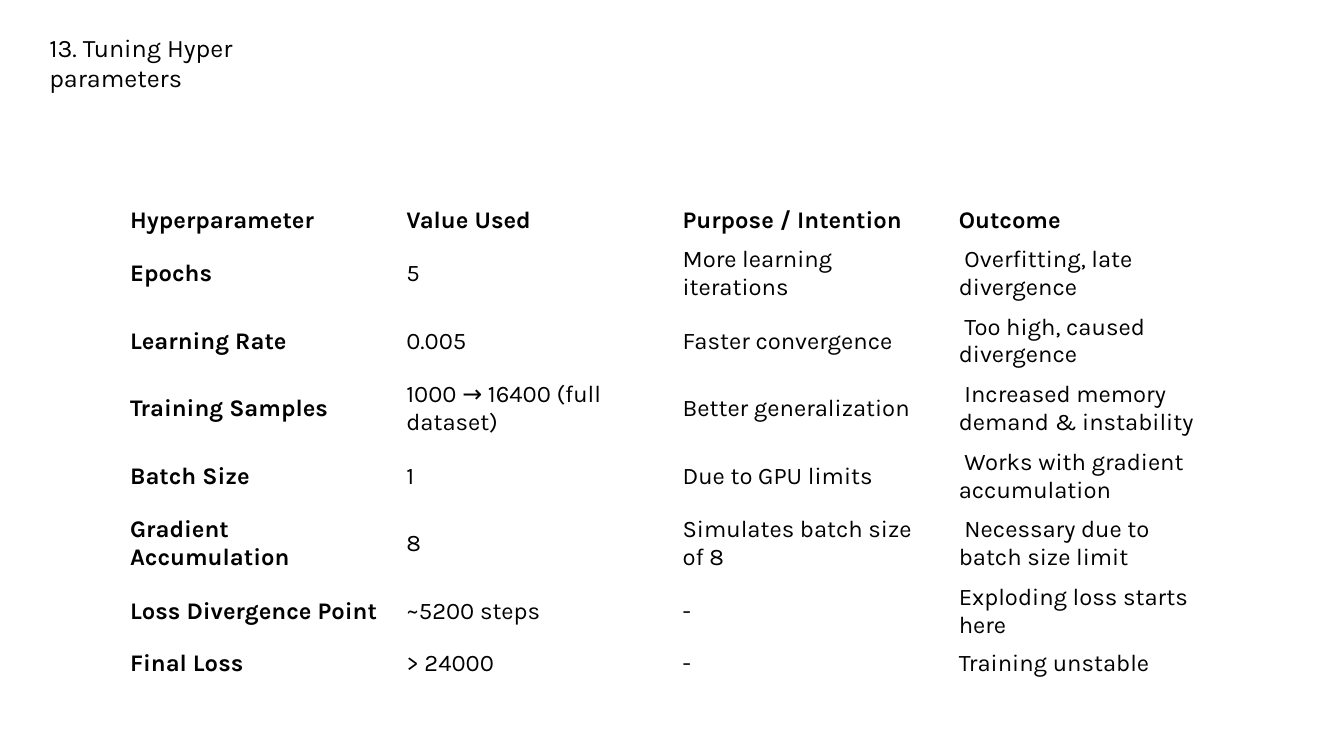
"""Build the slide on tuning hyperparameters."""
from pptx import Presentation
from pptx.dml.color import RGBColor
from pptx.enum.text import MSO_ANCHOR
from pptx.util import Pt

PX = 9144
BLACK = RGBColor(0x00, 0x00, 0x00)
MIDDLE = MSO_ANCHOR.MIDDLE
FONT = "Karla"
COL_WIDTH = 274
ROW_HEIGHTS = [38, 67, 67, 67, 67, 67, 67, 38]
ROWS = [
    ("Hyperparameter", "Value Used", "Purpose / Intention", "Outcome"),
    ("Epochs", "5", "More learning iterations", " Overfitting, late divergence"),
    ("Learning Rate", "0.005", "Faster convergence", " Too high, caused divergence"),
    ("Training Samples", "1000 → 16400 (full dataset)", "Better generalization",
     " Increased memory demand & instability"),
    ("Batch Size", "1", "Due to GPU limits", " Works with gradient accumulation"),
    ("Gradient Accumulation", "8", "Simulates batch size of 8",
     " Necessary due to batch size limit"),
    ("Loss Divergence Point", "~5200 steps", "-", "Exploding loss starts here"),
    ("Final Loss", "> 24000", "-", "Training unstable"),
]


def write(tf, text, size, bold=False):
    p = tf.paragraphs[0]
    p.text = text
    p.font.name = FONT
    p.font.size = Pt(size)
    p.font.bold = bold
    p.font.color.rgb = BLACK


prs = Presentation()
prs.slide_width = 1333 * PX
prs.slide_height = 750 * PX
s = prs.slides.add_slide(prs.slide_layouts[6])

table = s.shapes.add_table(
    len(ROWS), len(ROWS[0]), 119 * PX, 200 * PX,
    COL_WIDTH * len(ROWS[0]) * PX, sum(ROW_HEIGHTS) * PX).table
table.first_row = False
table.horz_banding = False
for col in table.columns:
    col.width = COL_WIDTH * PX
for i, (texts, height) in enumerate(zip(ROWS, ROW_HEIGHTS)):
    table.rows[i].height = height * PX
    for j, text in enumerate(texts):
        cell = table.cell(i, j)
        cell.fill.background()
        cell.vertical_anchor = MIDDLE
        write(cell.text_frame, text, 17, bold=i == 0 or j == 0)

title = s.shapes.add_textbox(39 * PX, 27 * PX, 335 * PX, 71 * PX)
title.text_frame.word_wrap = True
write(title.text_frame, "13. Tuning Hyper parameters", 18)

prs.save("out.pptx")
